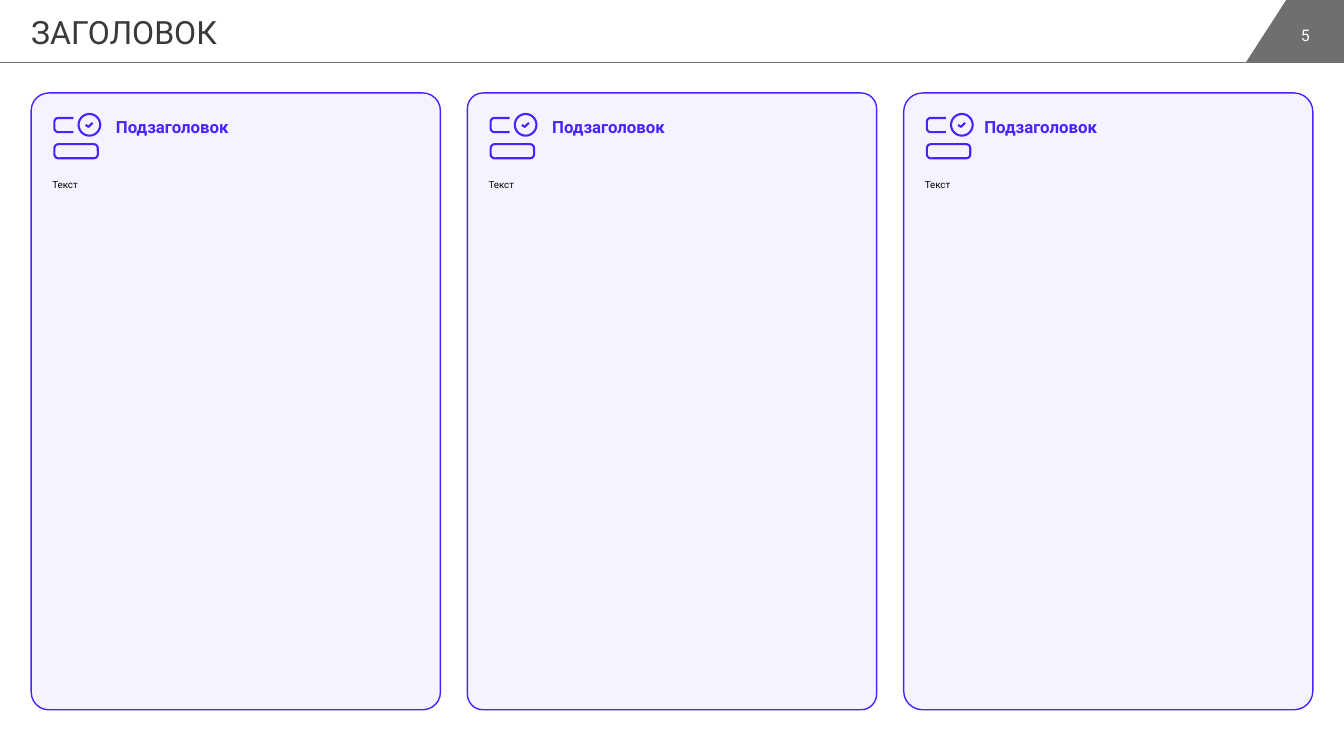
from dataclasses import dataclass
from math import cos, radians, sin

from lxml.etree import SubElement
from pptx import Presentation
from pptx.dml.color import RGBColor as RGB
from pptx.enum.shapes import MSO_CONNECTOR as LINE, MSO_SHAPE as SHAPE
from pptx.enum.text import MSO_ANCHOR as ANCHOR, PP_ALIGN as ALIGN
from pptx.oxml.ns import qn
from pptx.util import Pt


@dataclass(frozen=True)
class Theme:
    font: str = "Roboto"
    accent: str = "4525FF"
    gray: str = "706F6F"
    dark: str = "3B3838"
    black: str = "000000"
    white: str = "FFFFFF"
    title: float = 22.9
    subtitle: float = 12
    number: float = 11.4
    body: float = 7


class Deck:
    def __init__(self, slide, theme):
        self.slide, self.theme = slide, theme

    def style(self, sp, fill=None, alpha=None, line=None, width=1):
        """Set fill and outline, and remove the shadow."""
        sp.shadow.inherit = False
        if fill:
            sp.fill.solid()
            sp.fill.fore_color.rgb = RGB.from_string(fill)
            if alpha:
                color = sp.fill._xPr.find(".//" + qn("a:srgbClr"))
                SubElement(color, qn("a:alpha")).set("val", str(alpha * 1000))
        else:
            sp.fill.background()
        if line:
            sp.line.color.rgb = RGB.from_string(line)
            sp.line.width = Pt(width)
        else:
            sp.line.fill.background()
        return sp

    def shape(self, kind, x, y, w, h, radius=None, parent=None, **fmt):
        shapes = (parent or self.slide).shapes
        sp = shapes.add_shape(kind, Pt(x), Pt(y), Pt(w), Pt(h))
        if radius is not None:
            sp.adjustments[0] = radius
        return self.style(sp, **fmt)

    def outline(self, points, close=False, parent=None, **fmt):
        start, *rest = [(Pt(x), Pt(y)) for x, y in points]
        path = (parent or self.slide).shapes.build_freeform(*start)
        path.add_line_segments(rest, close=close)
        return self.style(path.convert_to_shape(), **fmt)

    def rule(self, x1, y1, x2, y2, color, width):
        c = self.slide.shapes.add_connector(LINE.STRAIGHT, Pt(x1), Pt(y1), Pt(x2), Pt(y2))
        c.line.color.rgb = RGB.from_string(color)
        c.line.width = Pt(width)
        SubElement(c._element.spPr, qn("a:effectLst"))

    def text(self, text, x, y, w, h, *, size, color, bold=False, align=ALIGN.LEFT,
             anchor=ANCHOR.TOP, spacing=None, after=0):
        tf = self.slide.shapes.add_textbox(Pt(x), Pt(y), Pt(w), Pt(h)).text_frame
        tf.word_wrap = True
        tf.vertical_anchor = anchor
        tf.margin_left = tf.margin_right = tf.margin_top = tf.margin_bottom = 0
        p = tf.paragraphs[0]
        p.alignment, p.line_spacing, p.space_after = align, spacing, Pt(after)
        r = p.add_run()
        r.text = text
        r.font.name, r.font.size, r.font.bold = self.theme.font, Pt(size), bold
        r.font.color.rgb = RGB.from_string(color)

    def icon(self, x, y):
        """Form icon: a field, a cut-off field and a check mark in a circle."""
        g = self.slide.shapes.add_group_shape()
        fmt = dict(parent=g, line=self.theme.accent, width=1.5)
        self.shape(SHAPE.ROUNDED_RECTANGLE, x, y + 21.6, 31, 10.1, radius=0.27, **fmt)
        self.outline([(x + dx, y + dy) for dx, dy in ((27.3, 6.4), (24.4, 9.3), (22.3, 7.9))], **fmt)
        # Field open on the right, with rounded left corners
        top, bottom, right, rad = y + 2.9, y + 13, x + 13.6, 2.7
        corners = [(cy + rad * sin(radians(a)), x + rad - rad * cos(radians(a)))
                   for cy, angles in ((top + rad, range(-90, 1, 15)),
                                      (bottom - rad, range(0, 91, 15)))
                   for a in angles]
        self.outline([(right, top), *((px, py) for py, px in corners), (right, bottom)], **fmt)
        self.shape(SHAPE.OVAL, x + 17.2, y, 15.5, 15.5, **fmt)

    def card(self, x, radius, subtitle_dx):
        t = self.theme
        self.shape(SHAPE.ROUNDED_RECTANGLE, x, 66.4, 292.3, 440.6, radius=radius,
                   fill=t.accent, alpha=5, line=t.accent)
        self.text("Текст", x + 15.1, 127.4, 261.4, 370, size=t.body, color=t.black, after=4)
        self.text("Подзаголовок", x + subtitle_dx, 82.1, 209.5, 30.2, size=t.subtitle,
                  color=t.accent, bold=True, spacing=1.07)
        self.icon(x + 16.6, 81.4)


def main():
    prs = Presentation()
    prs.slide_width, prs.slide_height = Pt(960), Pt(540)
    t = Theme()
    d = Deck(prs.slides.add_slide(prs.slide_layouts[6]), t)

    # Header
    d.rule(0, 44.6, 960, 44.6, t.gray, 0.5)
    d.outline([(918.7, 0), (960, 0), (960, 44.6), (889.9, 44.6)], close=True, fill=t.gray)
    d.text("5", 910.8, 10.8, 43.2, 28.8, size=t.number, color=t.white,
           align=ALIGN.CENTER, anchor=ANCHOR.MIDDLE)
    d.text("ЗАГОЛОВОК", 22.3, 8.8, 555.8, 27.4, size=t.title, color=t.dark)

    # Three equal cards
    cards = ((0.043, 60.5), (0.038, 60.5), (0.046, 57.6))
    for i, (radius, subtitle_dx) in enumerate(cards):
        d.card(22.3 + i * 311.6, radius, subtitle_dx)

    prs.save("out.pptx")


if __name__ == "__main__":
    main()
